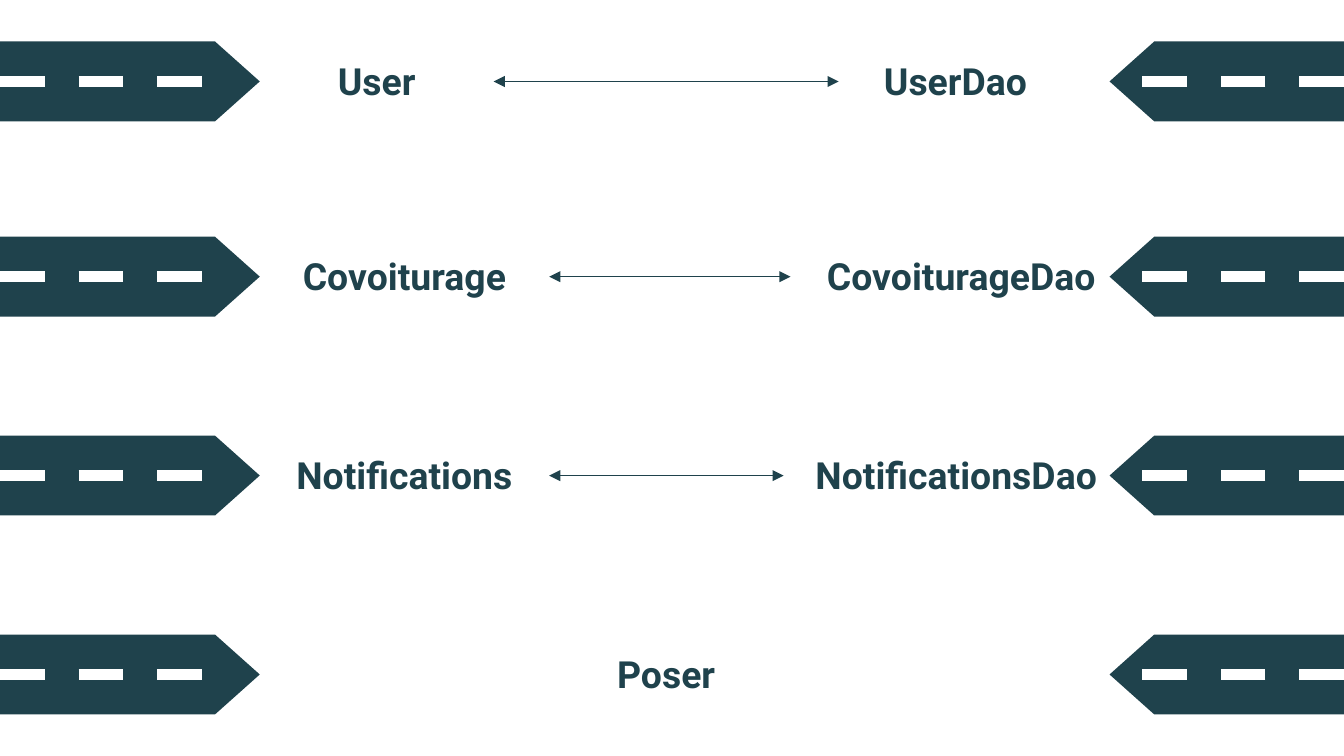
from lxml import etree
from pptx import Presentation
from pptx import util as u
from pptx.dml.color import RGBColor
from pptx.enum import dml, shapes, text
from pptx.oxml.ns import qn

TEAL, WHITE = "1F424C", "FFFFFF"
WIDTH = 25.4
SIGN_HEIGHT, LABEL_HEIGHT = 1.51, 1.37
LABEL_LEFT = 4.91
CENTER, RIGHT = text.PP_ALIGN.CENTER, text.PP_ALIGN.RIGHT


def rgb(value):
    return RGBColor.from_string(value)


def add_line(parent, start, end, y, color, weight):
    line = parent.add_connector(
        shapes.MSO_CONNECTOR.STRAIGHT, u.Cm(start), u.Cm(y), u.Cm(end), u.Cm(y))
    line.line.color.rgb = rgb(color)
    line.line.width = u.Pt(weight)
    etree.SubElement(line._element.spPr, qn("a:effectLst"))
    return line


prs = Presentation()
prs.slide_width, prs.slide_height = u.Cm(WIDTH), u.Cm(14.29)
slide = prs.slides.add_slide(prs.slide_layouts[6])

# Road signs: shape, left, width, start and end of the lane marking
signs = [
    (shapes.MSO_SHAPE.RIGHT_ARROW, 0, LABEL_LEFT, 0, 4.25),
    (shapes.MSO_SHAPE.LEFT_ARROW, 20.97, 4.43, WIDTH, 21.59),
]

# Rows: centre height, then labels as (wording, left, width, alignment)
rows = [
    (1.54, [("User", LABEL_LEFT, 4.42, CENTER),
            ("UserDao", 15.85, 4.42, CENTER)]),
    (5.23, [("Covoiturage", LABEL_LEFT, 5.47, CENTER),
            ("CovoiturageDao", 14.94, 6.02, RIGHT)]),
    (8.99, [("Notifications", LABEL_LEFT, 5.47, CENTER),
            ("NotificationsDao", 14.81, 6.53, CENTER)]),
    (12.75, [("Poser", 10.38, 4.42, CENTER)]),
]

for middle, labels in rows:
    # Signs with dashed lane markings
    for kind, left, width, start, end in signs:
        road = slide.shapes.add_group_shape().shapes
        sign = road.add_shape(kind, u.Cm(left), u.Cm(middle - SIGN_HEIGHT / 2),
                              u.Cm(width), u.Cm(SIGN_HEIGHT))
        sign.adjustments[0], sign.adjustments[1] = 1, 0.56
        sign.shadow.inherit = False
        sign.fill.solid()
        sign.fill.fore_color.rgb = rgb(TEAL)
        sign.line.fill.background()
        lane = add_line(road, start, end, middle, WHITE, 6)
        lane.line.dash_style = dml.MSO_LINE.DASH

    # Class names
    for wording, left, width, alignment in labels:
        label = slide.shapes.add_textbox(
            u.Cm(left), u.Cm(middle - LABEL_HEIGHT / 2), u.Cm(width), u.Cm(LABEL_HEIGHT))
        frame = label.text_frame
        frame.word_wrap = True
        frame.auto_size = text.MSO_AUTO_SIZE.SHAPE_TO_FIT_TEXT
        frame.margin_left = frame.margin_right = u.Cm(0.25)
        frame.margin_top = frame.margin_bottom = u.Cm(0.25)
        frame.text = wording
        paragraph = frame.paragraphs[0]
        paragraph.alignment = alignment
        font = paragraph.runs[0].font
        font.name, font.size, font.bold = "Roboto", u.Pt(20), True
        font.color.rgb = rgb(TEAL)

    # Two-way link between a class and its DAO
    if len(labels) == 2:
        (_, left, width, _), (_, dao_left, _, _) = labels
        link = add_line(slide.shapes, left + width, dao_left, middle, TEAL, 0.75)
        for tip in ("a:headEnd", "a:tailEnd"):
            etree.SubElement(link.line._get_or_add_ln(), qn(tip), type="triangle")

prs.save("out.pptx")
